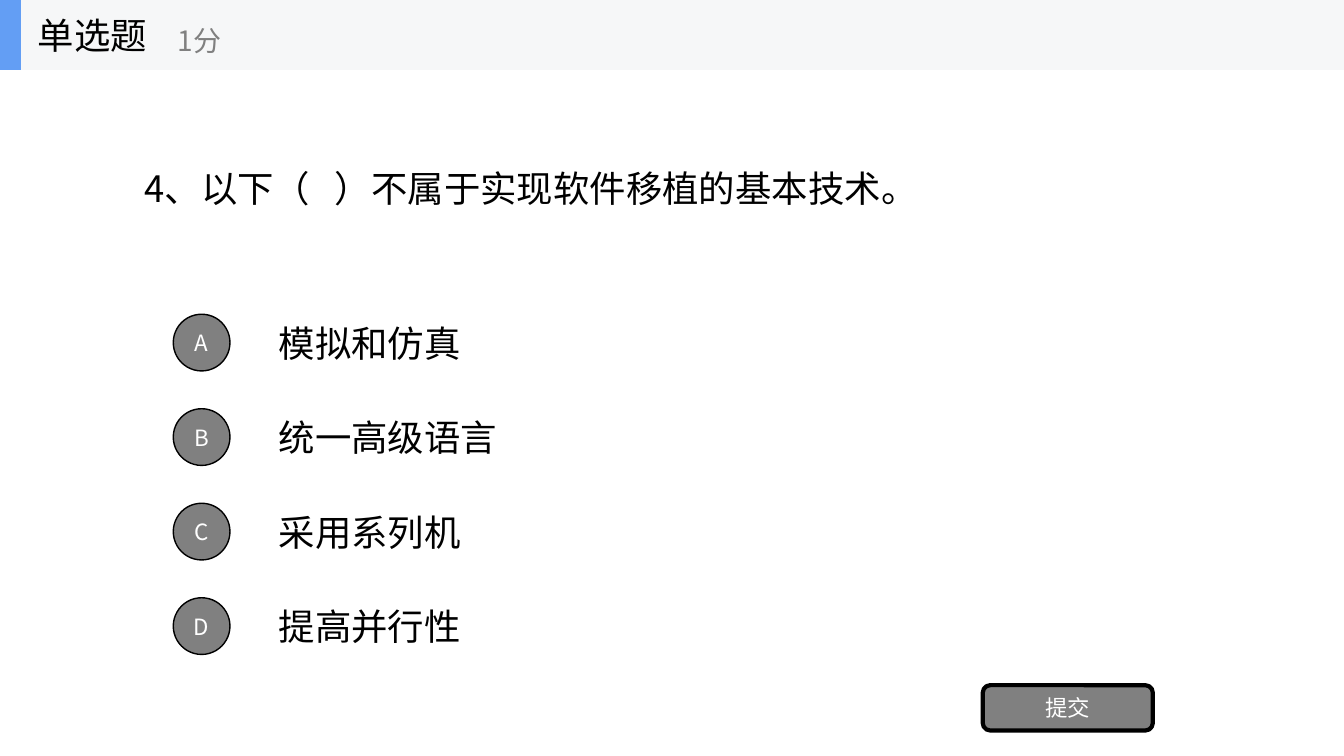
from lxml import etree
from pptx import Presentation
from pptx.dml.color import RGBColor
from pptx.enum.shapes import MSO_SHAPE
from pptx.enum.text import MSO_ANCHOR, MSO_AUTO_SIZE, PP_ALIGN
from pptx.oxml.ns import qn
from pptx.util import Pt

RECT, OVAL, ROUNDED = MSO_SHAPE.RECTANGLE, MSO_SHAPE.OVAL, MSO_SHAPE.ROUNDED_RECTANGLE
LEFT, CENTER = PP_ALIGN.LEFT, PP_ALIGN.CENTER
MIDDLE, NO_FIT = MSO_ANCHOR.MIDDLE, MSO_AUTO_SIZE.NONE
FONT = "Noto Sans CJK SC"
BLACK, WHITE, GRAY = "000000", "FFFFFF", "808080"
HEADER_HEIGHT = 50
OPTION_TOP, OPTION_PITCH, OPTION_HEIGHT, BADGE_SIZE = 219.4, 67.5, 50.6, 40.5


def write(shape, text, size, color, align=LEFT):
    """Fill a shape with one vertically centred line of text."""
    frame = shape.text_frame
    frame.text = text
    frame.word_wrap = True
    frame.auto_size = NO_FIT
    frame.vertical_anchor = MIDDLE
    if align == CENTER:
        frame.margin_left = frame.margin_right = 0
    paragraph = frame.paragraphs[0]
    paragraph.alignment = align
    run = paragraph.runs[0]
    run.font.size = Pt(size)
    run.font.color.rgb = RGBColor.from_string(color)
    run.font.name = FONT
    etree.SubElement(run.font._element, qn("a:ea"), typeface=FONT)


def add_block(kind, left, top, width, height, fill, line_width=0):
    block = slide.shapes.add_shape(kind, Pt(left), Pt(top), Pt(width), Pt(height))
    block.shadow.inherit = False
    block.fill.solid()
    block.fill.fore_color.rgb = RGBColor.from_string(fill)
    if line_width:
        block.line.color.rgb = RGBColor.from_string(BLACK)
        block.line.width = Pt(line_width)
    else:
        block.line.fill.background()
    return block


prs = Presentation()
prs.slide_width, prs.slide_height = Pt(960), Pt(540)
slide = prs.slides.add_slide(prs.slide_layouts[5])

# Question
question = slide.shapes.title
question.left, question.top = Pt(96), Pt(HEADER_HEIGHT)
question.width, question.height = Pt(768), Pt(168.5)
write(question, "4、以下（   ）不属于实现软件移植的基本技术。", 26, BLACK)

# Answer options with their letter badges
options = ["模拟和仿真", "统一高级语言", "采用系列机", "提高并行性"]
for index, (letter, answer) in enumerate(zip("ABCD", options)):
    top = OPTION_TOP + index * OPTION_PITCH
    answer_box = slide.shapes.add_textbox(Pt(192), Pt(top), Pt(672), Pt(OPTION_HEIGHT))
    write(answer_box, answer, 26, BLACK)
    badge_top = top + (OPTION_HEIGHT - BADGE_SIZE) / 2
    badge = add_block(OVAL, 123.75, badge_top, BADGE_SIZE, BADGE_SIZE, GRAY, 1)
    write(badge, letter, 16, WHITE, CENTER)

submit_button = add_block(ROUNDED, 702, 489.4, 121.5, 32.4, GRAY, 3)
write(submit_button, "提交", 16, WHITE, CENTER)

# Header band with question type and score
add_block(RECT, 0, 0, 960, HEADER_HEIGHT, "F6F7F8")
add_block(RECT, 0, 0, 15, HEADER_HEIGHT, "639EF4")
question_type = slide.shapes.add_textbox(Pt(20), 0, Pt(150), Pt(HEADER_HEIGHT))
write(question_type, "单选题", 26, BLACK)
score = slide.shapes.add_textbox(Pt(120), Pt(9), Pt(180), Pt(40))
write(score, "1分", 20, GRAY)

prs.save("out.pptx")
